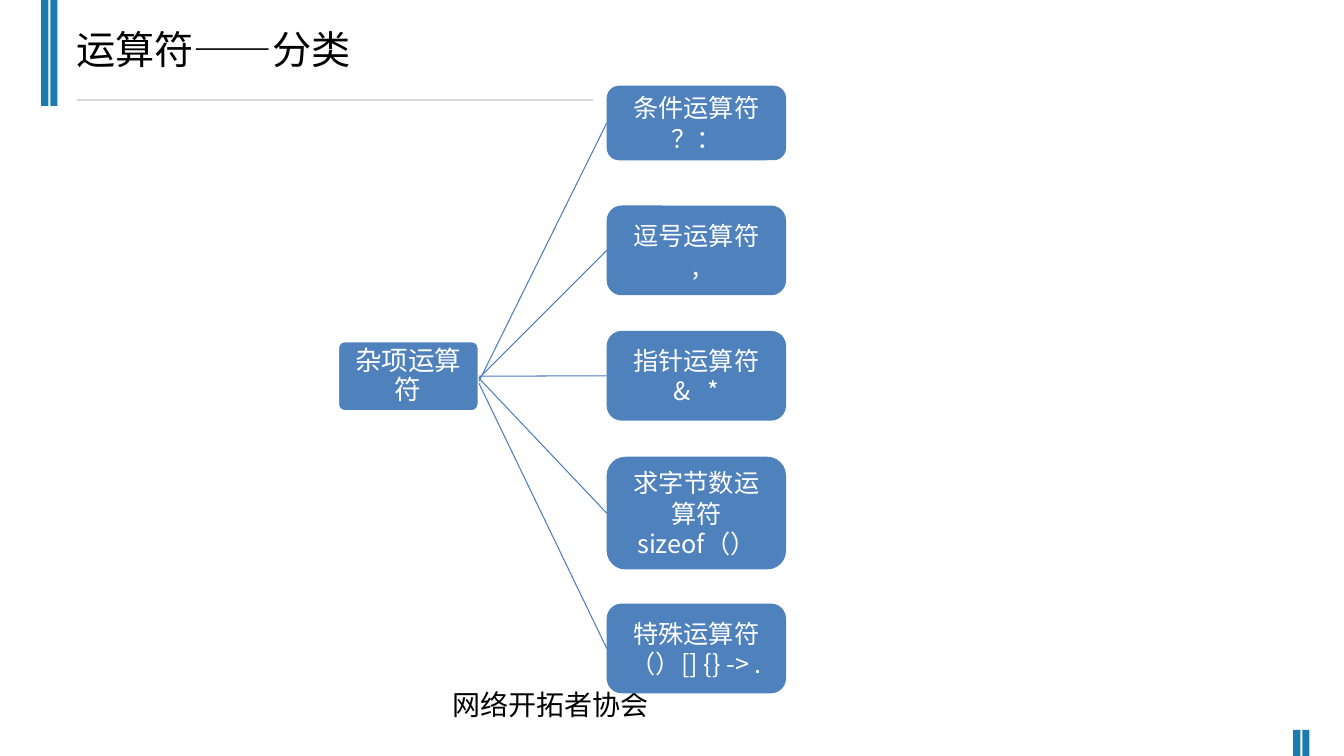
from pptx import Presentation
from pptx.dml.color import RGBColor
from pptx.enum.shapes import MSO_CONNECTOR as Connector, MSO_SHAPE as Shape
from pptx.enum.text import MSO_ANCHOR as Anchor, PP_ALIGN as Align
from pptx.oxml.ns import qn
from pptx.util import Cm, Pt
from lxml.etree import SubElement

BLUE = RGBColor(0x4F, 0x81, 0xBD)
LINK_BLUE = RGBColor(0x4B, 0x7E, 0xBC)
BAR_BLUE = RGBColor(0x1A, 0x7B, 0xAE)
RULE_GREY = RGBColor(0xD9, 0xD9, 0xD9)
WHITE = RGBColor(0xFF, 0xFF, 0xFF)
BLACK = RGBColor(0, 0, 0)
FONT = "Noto Sans CJK SC"

ROOT_BOX = (8.51, 8.59, 3.56, 1.78)
BRANCH_LEFT, BRANCH_WIDTH = 15.29, 4.52
BRANCHES = [
    (2.16, 1.88, 0.13, ["条件运算符", "？："], 0),
    (5.18, 2.26, 0.05, ["逗号运算符", ","], 0),
    (8.34, 2.26, 0, ["指针运算符", "& *"], 400),
    (11.51, 2.84, 0.05, ["求字节数运算符", "sizeof（）"], 0),
    (15.21, 2.26, 0.18, ["特殊运算符", "（）[] {} -> ."], 0),
]


def write_text(shape, lines, size, color, align, line_spacing=1.0, last_gap=0):
    """Fill a shape with one paragraph per line."""
    frame = shape.text_frame
    frame.word_wrap = True
    for index, line in enumerate(lines):
        paragraph = frame.paragraphs[0] if index == 0 else frame.add_paragraph()
        paragraph.alignment = align
        paragraph.line_spacing = line_spacing
        run = paragraph.add_run()
        run.text = line
        formats = {"name": FONT, "size": Pt(size)}
        for name, value in formats.items():
            setattr(run.font, name, value)
        run.font.color.rgb = color
        properties = run._r.get_or_add_rPr()
        SubElement(properties, qn("a:ea"), typeface=FONT)
        if last_gap and index == len(lines) - 1:
            properties.set("spc", str(last_gap))


def add_block(slide, kind, box, fill):
    """Add a flat, filled shape without outline."""
    shape = slide.shapes.add_shape(kind, *map(Cm, box))
    shape.shadow.inherit = False
    shape.fill.solid()
    shape.fill.fore_color.rgb = fill
    shape.line.fill.background()
    return shape


def add_line(slide, start, end, color):
    """Add a thin straight connector between two points."""
    line = slide.shapes.add_connector(
        Connector.STRAIGHT, *map(Cm, (*start, *end)))
    line.line.color.rgb = color
    line.line.width = Pt(0.75)
    SubElement(line._element.spPr, qn("a:effectLst"))
    return line


def add_label(slide, box, text, size, line_spacing=1.0):
    """Add a black, left-aligned text box."""
    label = slide.shapes.add_textbox(*map(Cm, box))
    write_text(label, [text], size, BLACK, Align.LEFT, line_spacing)


def add_bars(slide, left, top, height):
    """Add a pair of vertical accent bars."""
    for offset in (0, 0.23):
        add_block(slide, Shape.RECTANGLE, (left + offset, top, 0.18, height),
                  BAR_BLUE)


def add_frame(slide):
    """Add the footer, accent bars, rule and title."""
    add_label(slide, (11.15, 17.2, 9.7, 1.27), "网络开拓者协会", 20)
    add_bars(slide, 1.04, 0, 2.67)
    add_bars(slide, 32.59, 18.39, 0.66)
    add_line(slide, (1.93, 2.52), (14.94, 2.52), RULE_GREY)
    add_label(slide, (1.68, 0.64, 22.6, 1.88), "运算符——分类", 28, 0.9)


def add_root(slide, box):
    """Add the root of the tree."""
    root = add_block(slide, Shape.ROUNDED_RECTANGLE, box, BLUE)
    root.adjustments[0] = 0.1
    root.line.color.rgb = WHITE
    root.line.width = Pt(2)
    for side in ("left", "top", "right", "bottom"):
        setattr(root.text_frame, f"margin_{side}", Cm(0.08))
    root.text_frame.vertical_anchor = Anchor.MIDDLE
    write_text(root, ["杂项运算符"], 19, WHITE, Align.CENTER, 0.9)
    return root


def add_tree(slide, root_box):
    """Add the root, its branches and the lines joining them."""
    root = add_root(slide, root_box)
    left, top, width, height = root_box
    for branch_top, branch_height, drop, lines, gap in BRANCHES:
        box = (BRANCH_LEFT, branch_top, BRANCH_WIDTH, branch_height)
        branch = add_block(slide, Shape.ROUNDED_RECTANGLE, box, BLUE)
        branch.text_frame.vertical_anchor = Anchor.MIDDLE
        write_text(branch, lines, 18, WHITE, Align.CENTER, last_gap=gap)
        start = (left + width, top + height / 2 + drop)
        end = (BRANCH_LEFT, branch_top + branch_height / 2)
        link = add_line(slide, start, end, LINK_BLUE)
        link.end_connect(branch, 1)
        if not drop:
            link.begin_connect(root, 3)


def main():
    """Build and save the slide."""
    presentation = Presentation()
    presentation.slide_width, presentation.slide_height = Cm(33.87), Cm(19.05)
    slide = presentation.slides.add_slide(presentation.slide_layouts[6])
    add_frame(slide)
    add_tree(slide, ROOT_BOX)
    presentation.save("out.pptx")


if __name__ == "__main__":
    main()
